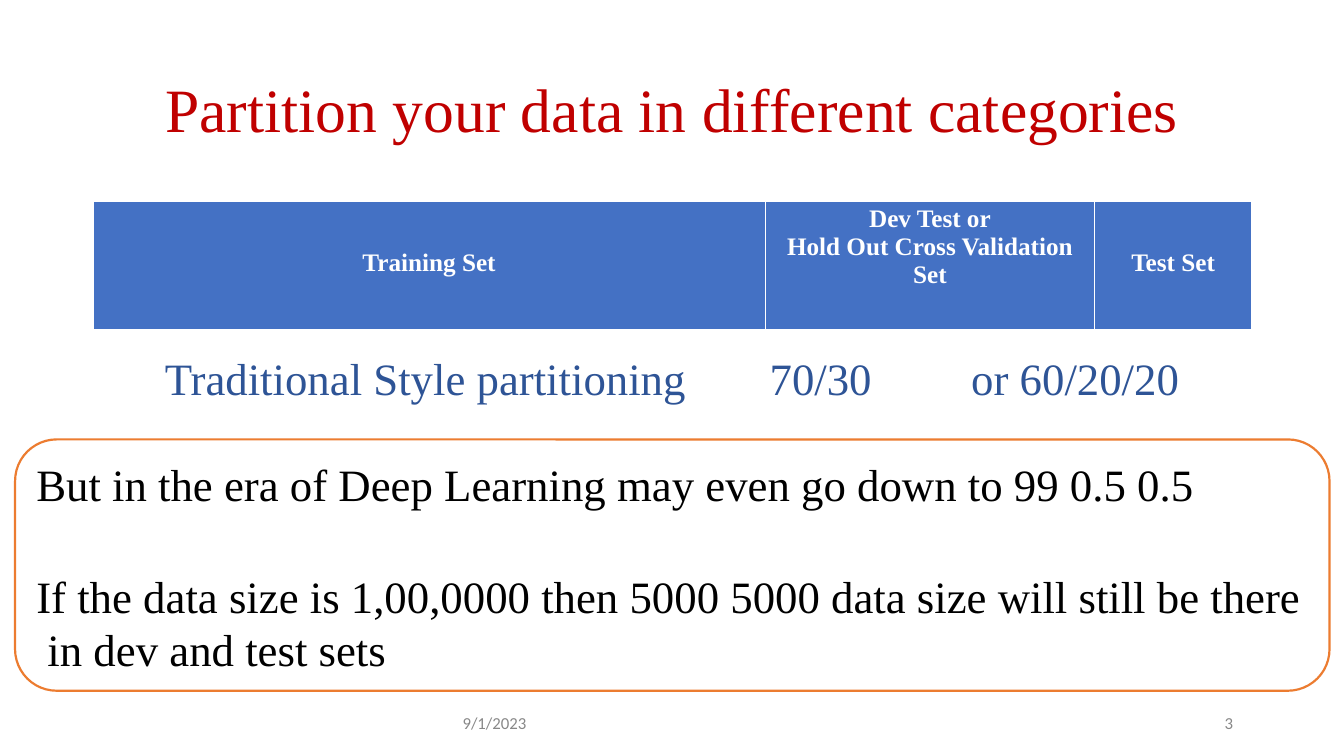
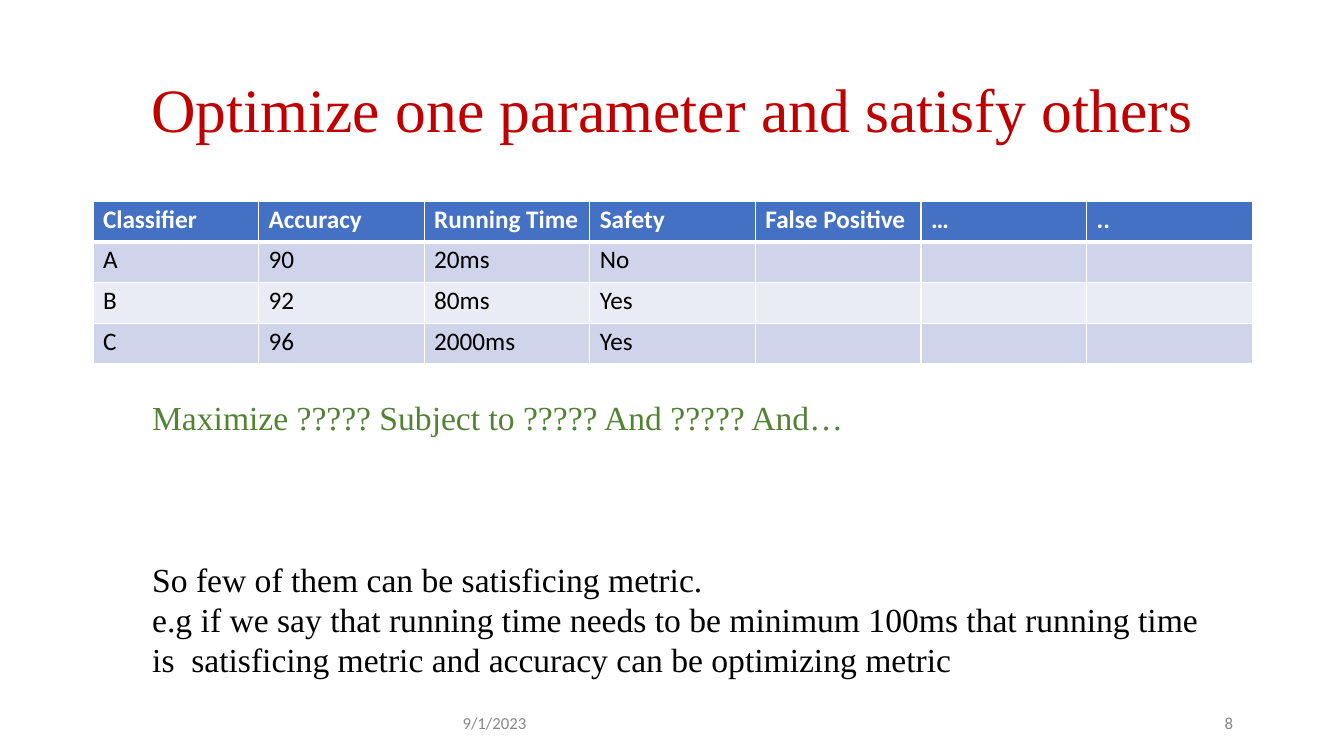
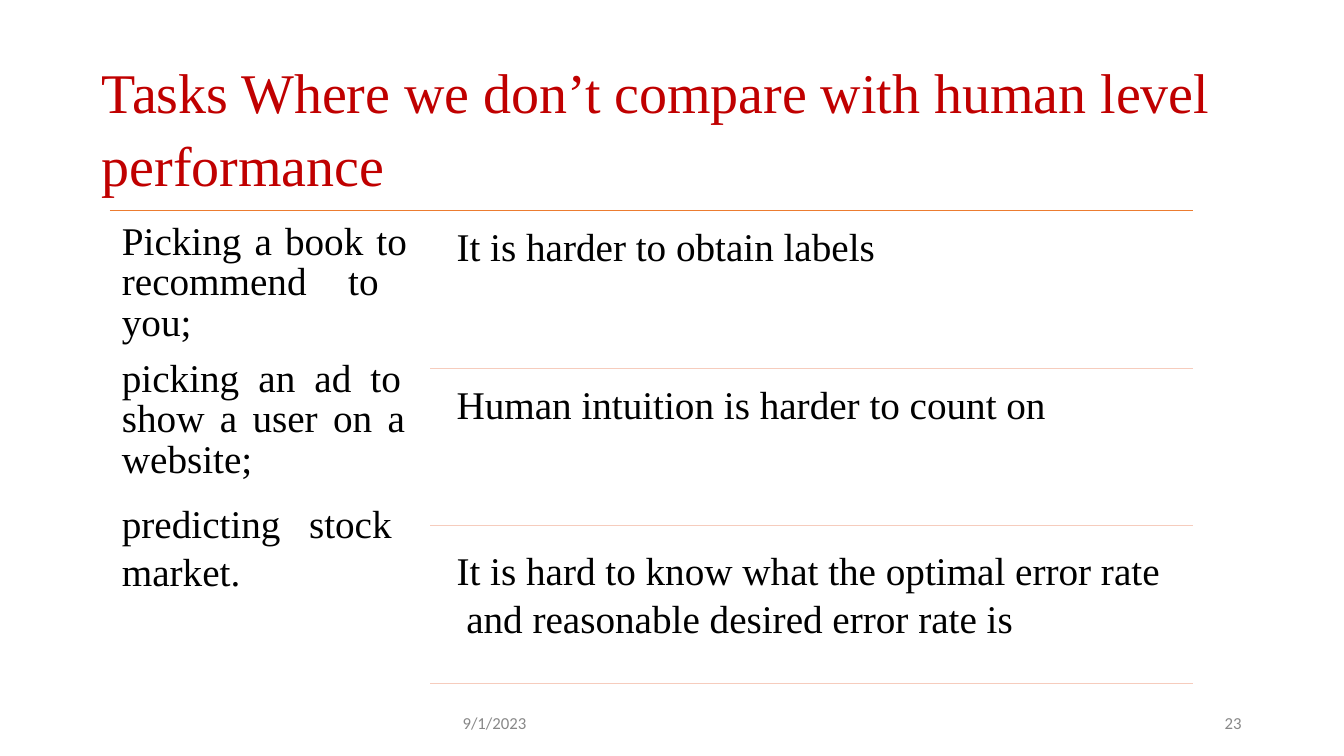
from lxml import etree
from pptx import Presentation
from pptx.dml.color import RGBColor
from pptx.enum.shapes import MSO_CONNECTOR, MSO_SHAPE
from pptx.enum.text import MSO_ANCHOR, MSO_AUTO_SIZE, PP_ALIGN
from pptx.oxml.ns import qn
from pptx.util import Pt

LEFT, CENTER, JUSTIFY = PP_ALIGN.LEFT, PP_ALIGN.CENTER, PP_ALIGN.JUSTIFY
TOP, MIDDLE = MSO_ANCHOR.TOP, MSO_ANCHOR.MIDDLE
NO_AUTOFIT = MSO_AUTO_SIZE.NONE
STRAIGHT = MSO_CONNECTOR.STRAIGHT
ROUNDED = MSO_SHAPE.ROUNDED_RECTANGLE
TITLE_ONLY = 5

SERIF, SANS = "Times New Roman", "Calibri"
RED, BLUE, GREEN, ORANGE = "C00000", "2E5496", "538235", "EC7C30"
BLACK, WHITE, GRAY, PEACH = "000000", "FFFFFF", "888888", "F6CCBD"
HEADER, BANDS = "4471C4", ("CFD4EA", "E9EBF5")
MARGINS = ("margin_left", "margin_top", "margin_right", "margin_bottom")


def rgb(value):
    return RGBColor.from_string(value)


def apply(target, values):
    for name, value in values.items():
        setattr(target, name, value)


class Deck:
    """Holds the shared style and the slide being filled."""

    def __init__(self):
        self.presentation = Presentation()
        apply(self.presentation, {"slide_width": Pt(960), "slide_height": Pt(540)})
        self.slide = None

    def fill_text(self, frame, paragraphs, size, color, font=SERIF, bold=False,
                  **paragraph_format):
        for index, text in enumerate(paragraphs):
            paragraph = frame.add_paragraph() if index else frame.paragraphs[0]
            apply(paragraph, {"alignment": LEFT, **paragraph_format})
            run = paragraph.add_run()
            run.text = text
            apply(run.font, {"name": font, "size": Pt(size), "bold": bold})
            run.font.color.rgb = rgb(color)

    def set_frame(self, target, margins, anchor=TOP):
        """Set margins (left, top, right, bottom) and anchor of a frame or cell."""
        apply(target, dict(zip(MARGINS, map(Pt, margins))))
        apply(target, {"word_wrap": True, "vertical_anchor": anchor})

    def add_slide(self, title, number, box, size=44, top_margin=0.7, line_spacing=1.0):
        layout = self.presentation.slide_layouts[TITLE_ONLY]
        self.slide = self.presentation.slides.add_slide(layout)
        shape = self.slide.shapes.title
        apply(shape, dict(zip(("left", "top", "width", "height"), map(Pt, box))))
        shape.text_frame.auto_size = NO_AUTOFIT
        self.set_frame(shape.text_frame, (0.7, top_margin, 0, 0))
        self.fill_text(shape.text_frame, [title], size, RED, line_spacing=line_spacing)
        for left, text in ((329.7, "9/1/2023"), (874, number)):
            self.text((left, 509, 80, 14), [text], 12, GRAY, SANS,
                      top_margin=0, line_spacing=1.03)

    def text(self, box, paragraphs, size, color=BLACK, font=SERIF,
             top_margin=0.7, **paragraph_format):
        frame = self.slide.shapes.add_textbox(*map(Pt, box)).text_frame
        self.set_frame(frame, (0.7, top_margin, 0, 0))
        self.fill_text(frame, paragraphs, size, color, font, **paragraph_format)
        return frame

    def tab_stops(self, paragraph, positions):
        tab_list = etree.SubElement(paragraph._p.get_or_add_pPr(), qn("a:tabLst"))
        for position in positions:
            etree.SubElement(tab_list, qn("a:tab"), pos=str(Pt(position)), algn="l")

    def rounded_frame(self, box, radius, color, weight):
        shape = self.slide.shapes.add_shape(ROUNDED, *map(Pt, box))
        shape.shadow.inherit = False
        shape.adjustments[0] = radius / box[3]
        shape.fill.background()
        shape.line.color.rgb = rgb(color)
        shape.line.width = Pt(weight)

    def rule(self, left, right, top, color, weight):
        connector = self.slide.shapes.add_connector(
            STRAIGHT, *map(Pt, (left, top, right, top)))
        connector.line.color.rgb = rgb(color)
        connector.line.width = Pt(weight)
        etree.SubElement(connector._element.spPr, qn("a:effectLst"))

    def table(self, widths, heights):
        table = self.slide.shapes.add_table(
            len(heights), len(widths),
            *map(Pt, (66.4, 143.6, sum(widths), sum(heights)))).table
        for column, width in zip(table.columns, widths):
            column.width = Pt(width)
        for row, height in zip(table.rows, heights):
            row.height = Pt(height)
        return table

    def cell(self, cell, paragraphs, fill, color, borders, margins, anchor=TOP,
             **text_format):
        """Fill a cell; borders are white widths for left, right, top, bottom."""
        self.set_frame(cell, margins, anchor)
        self.fill_text(cell.text_frame, paragraphs, 18, color, **text_format)
        properties = cell._tc.get_or_add_tcPr()
        for side, width in zip("LRTB", borders):
            line = etree.SubElement(properties, qn(f"a:ln{side}"), w=str(Pt(width)))
            solid = etree.SubElement(line, qn("a:solidFill"))
            etree.SubElement(solid, qn("a:srgbClr"), val=WHITE)
        cell.fill.solid()
        cell.fill.fore_color.rgb = rgb(fill)


def partition_slide(deck):
    deck.add_slide("Partition your data in different categories", "3",
                   (117.4, 49.7, 740, 55))
    table = deck.table((480.2, 235.4, 112), (92.6,))
    sets = (
        (["Training Set"], MIDDLE, (0, 0, 0, 3.6)),
        (["Dev Test or", "Hold Out Cross Validation", "Set"], TOP, (0, 2.9, 0, 0)),
        (["Test Set"], MIDDLE, (0, 0, 0, 3.6)),
    )
    for index, (lines, anchor, margins) in enumerate(sets):
        deck.cell(table.cell(0, index), lines, HEADER, WHITE, (1, 1, 0.75, 2.25),
                  margins, anchor, bold=True, alignment=CENTER)
    deck.rounded_frame((10.8, 313.9, 938.9, 179.5), 29.7, ORANGE, 1.56)
    ratios = deck.text((117, 249.8, 780, 40),
                       ["Traditional Style partitioning\t70/30\tor 60/20/20"], 32, BLUE)
    deck.tab_stops(ratios.paragraphs[0], (432, 576))
    notes = deck.text((25.2, 325.8, 908.6, 160), [
        "But in the era of Deep Learning may even go down to 99 0.5 0.5",
        "If the data size is 1,00,0000 then 5000 5000 data size will still be there"
        "  in dev and test sets"], 32)
    notes.paragraphs[1].space_before = Pt(41)


def optimize_slide(deck):
    deck.add_slide("Optimize one parameter and satisfy others", "8",
                   (107.3, 49.7, 760, 55))
    rows = (
        ("Classifier", "Accuracy", "Running Time", "Safety", "False Positive", "…", ".."),
        ("A", "90", "20ms", "No", "", "", ""),
        ("B", "92", "80ms", "Yes", "", "", ""),
        ("C", "96", "2000ms", "Yes", "", "", ""),
    )
    table = deck.table((118.3,) * 7, (29.1,) * 4)
    for row, texts in enumerate(rows):
        header = row == 0
        borders = (1, 1, 3 if row == 1 else 1, 3 if header else 1)
        for column, text in enumerate(texts):
            deck.cell(table.cell(row, column), [text] if text else [],
                      HEADER if header else BANDS[(row - 1) % 2],
                      WHITE if header else BLACK, borders, (7.2, 2.2, 0, 0),
                      font=SANS, bold=header)
    deck.text((108, 283, 560, 31), ["Maximize ????? Subject to ????? And ????? And…"],
              24, GREEN)
    deck.text((108, 398.2, 769.7, 88.6), [
        "So few of them can be satisficing metric.",
        "e.g if we say that running time needs to be minimum 100ms that running time "
        "is  satisficing metric and accuracy can be optimizing metric"], 24)


def tasks_slide(deck):
    deck.add_slide("Tasks Where we don’t compare with human level  performance", "23",
                   (72, 25.9, 815.8, 102.2), size=40, top_margin=11.5,
                   line_spacing=1.08)
    right, first_rule, step = 852.5, 150.5, 112.5
    deck.rule(78.5, right, first_rule, ORANGE, 0.75)
    tasks = deck.text((86.4, 153.4, 213.8, 260.6), [
        "Picking a book to  recommend to  you;",
        "picking an ad to  show a user on a  website;",
        "predicting stock  market."], 28, top_margin=5.8,
        alignment=JUSTIFY, line_spacing=0.86)
    apply(tasks.paragraphs[1], {"space_before": Pt(11.2)})
    apply(tasks.paragraphs[2], {"space_before": Pt(11.6), "line_spacing": 1.03})
    reasons = (
        ("It is harder to obtain labels", 0.7, 1.0),
        ("Human intuition is harder to count on", 0.7, 1.0),
        ("It is hard to know what the optimal error rate"
         "  and reasonable desired error rate is", 5.8, 1.03),
    )
    for index, (reason, top_margin, line_spacing) in enumerate(reasons):
        top = first_rule + index * step
        deck.text((325.4, top + 7.9, 505, 65), [reason], 28,
                  top_margin=top_margin, line_spacing=line_spacing)
        deck.rule(307.4, right, top + step, PEACH, 0.96)


def main():
    deck = Deck()
    partition_slide(deck)
    optimize_slide(deck)
    tasks_slide(deck)
    deck.presentation.save("out.pptx")


if __name__ == "__main__":
    main()
